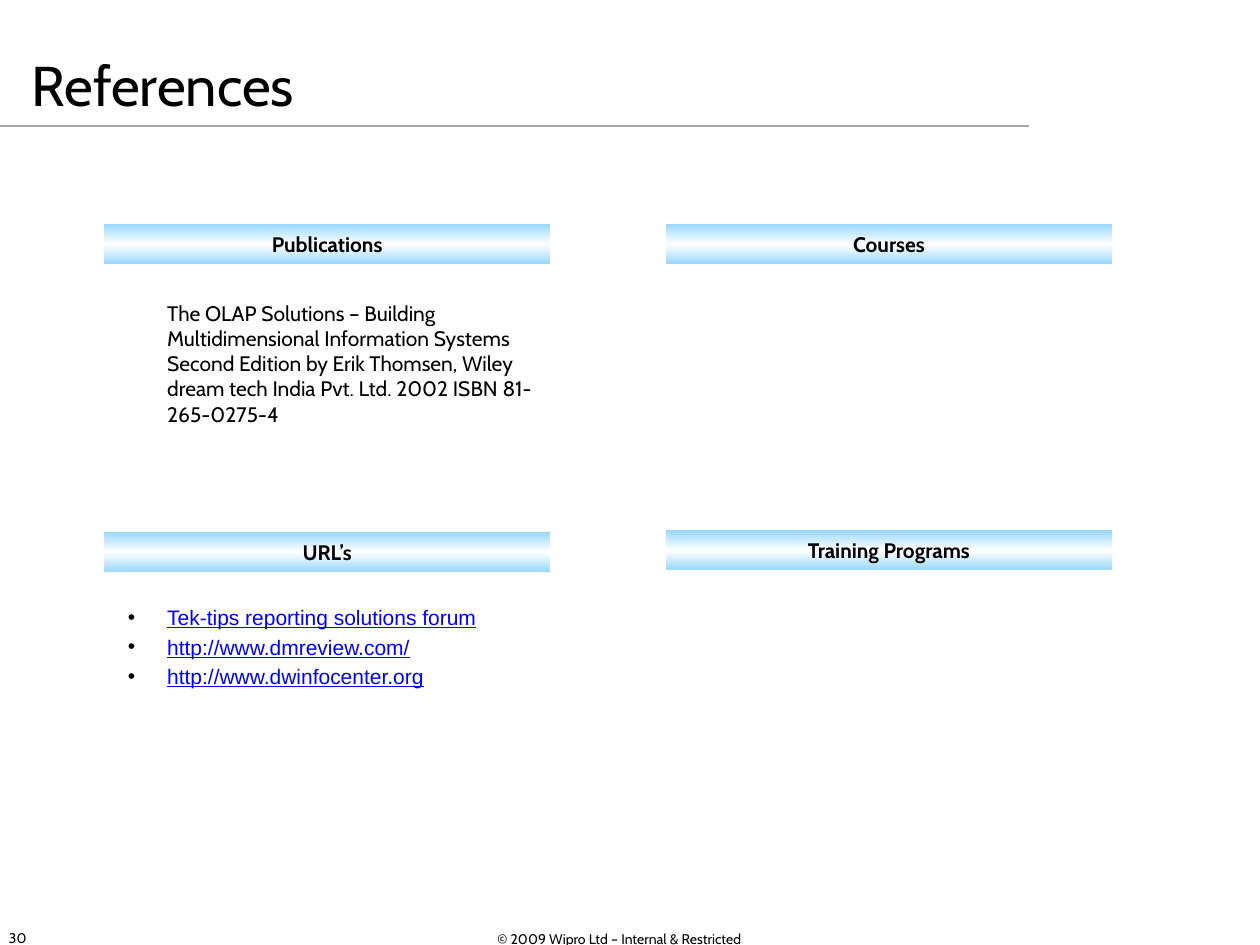
from copy import deepcopy
from lxml import etree
from pptx import Presentation
from pptx import util as u
from pptx.dml import color
from pptx.enum import shapes, text
from pptx.oxml import ns

LEFT, MID = text.PP_ALIGN.LEFT, text.PP_ALIGN.CENTER


def rgb(code):
    return color.RGBColor.from_string(code)


class Deck:
    """Holds the style and the current slide, and draws each kind of element."""

    font, ink, link, rule, band = "Cabin", "000000", "0000FF", "A6A6A6", "99D8FF"

    def __init__(self, wide, high):
        self.prs = Presentation()
        self.prs.slide_width, self.prs.slide_height = u.Pt(wide), u.Pt(high)
        self.slide = self.prs.slides.add_slide(self.prs.slide_layouts[5])

    def place(self, shape, box):
        shape.left, shape.top, shape.width, shape.height = map(u.Pt, box)

    def frame(self, shape, anchor=text.MSO_ANCHOR.MIDDLE):
        body = shape.text_frame
        body.word_wrap = True
        body.auto_size = text.MSO_AUTO_SIZE.NONE
        body.vertical_anchor = anchor
        return body

    def add_run(self, para, words, size, align=LEFT, bold=False, link=False):
        para.alignment = align
        run = para.add_run()
        run.text = words
        font = run.font
        font.name = "Arial" if link else self.font
        font.size, font.bold, font.underline = u.Pt(size), bold, link
        font.color.rgb = rgb(self.link if link else self.ink)

    def title(self, words, box):
        shape = self.slide.shapes.title
        self.place(shape, box)
        self.add_run(self.frame(shape).paragraphs[0], words, 32)

    def line(self, x1, y1, x2, y2):
        line = self.slide.shapes.add_connector(
            shapes.MSO_CONNECTOR.STRAIGHT, *map(u.Pt, (x1, y1, x2, y2)))
        line.line.color.rgb = rgb(self.rule)
        line.line.width = u.Pt(0.75)
        etree.SubElement(line._element.spPr, ns.qn("a:effectLst"))

    def label(self, words, box, align=LEFT):
        shape = self.slide.shapes.add_textbox(*map(u.Pt, box))
        self.add_run(self.frame(shape).paragraphs[0], words, 8, align)

    def header(self, words, box):
        shape = self.slide.shapes.add_shape(
            shapes.MSO_SHAPE.RECTANGLE, *map(u.Pt, box))
        shape.shadow.inherit = False
        shape.line.fill.background()
        shape.fill.gradient()
        shape.fill.gradient_angle = 270
        stops = shape._element.spPr.find(".//" + ns.qn("a:gsLst"))
        stops.insert(1, deepcopy(stops[0]))
        tints = (self.band, "FFFFFF", self.band)
        for stop, spot, tint in zip(shape.fill.gradient_stops, (0, 0.5, 1), tints):
            stop.position = spot
            stop.color.rgb = rgb(tint)
        self.add_run(self.frame(shape).paragraphs[0], words, 12, MID, bold=True)

    def bullet(self, props):
        tint = etree.SubElement(props, ns.qn("a:buClr"))
        etree.SubElement(tint, ns.qn("a:srgbClr"), val=self.ink)
        etree.SubElement(props, ns.qn("a:buFont"), typeface="Arial")
        etree.SubElement(props, ns.qn("a:buChar"), char="•")

    def body(self, items, box, links=False):
        shape = self.slide.shapes.add_textbox(*map(u.Pt, box))
        area = self.frame(shape, text.MSO_ANCHOR.TOP)
        for i, words in enumerate(items):
            para = area.add_paragraph() if i else area.paragraphs[0]
            para.level = 1
            props = para._p.get_or_add_pPr()
            props.set("marL", str(u.Pt(58.5)))
            props.set("indent", str(u.Pt(-22.5 if links else 0)))
            if links:
                self.bullet(props)
            if i:
                para.space_before = u.Pt(2.4)
            self.add_run(para, words, 12, link=links)


def main():
    deck = Deck(720, 540)
    deck.line(0, 72, 588, 72)
    deck.label("© 2009 Wipro Ltd – Internal & Restricted", (198, 522, 312, 29), MID)
    deck.label("30", (-2, 521.5, 168, 29))
    deck.title("References", (11, 12, 595.5, 72))
    deck.body(["The OLAP Solutions – Building Multidimensional Information Systems "
               "Second Edition by Erik Thomsen, Wiley dream tech India Pvt. Ltd. "
               "2002 ISBN 81-265-0275-4"], (30, 168, 282, 85))
    heads = (("Publications", 59.5, 128), ("Courses", 380.5, 128),
             ("Training Programs", 380.5, 303), ("URL’s", 59.5, 304))
    for words, x, y in heads:
        deck.header(words, (x, y, 255, 23))
    deck.body(["Tek-tips reporting solutions forum", "http://www.dmreview.com/",
               "http://www.dwinfocenter.org"], (30, 342, 255, 86), links=True)
    deck.prs.save("out.pptx")


if __name__ == "__main__":
    main()
